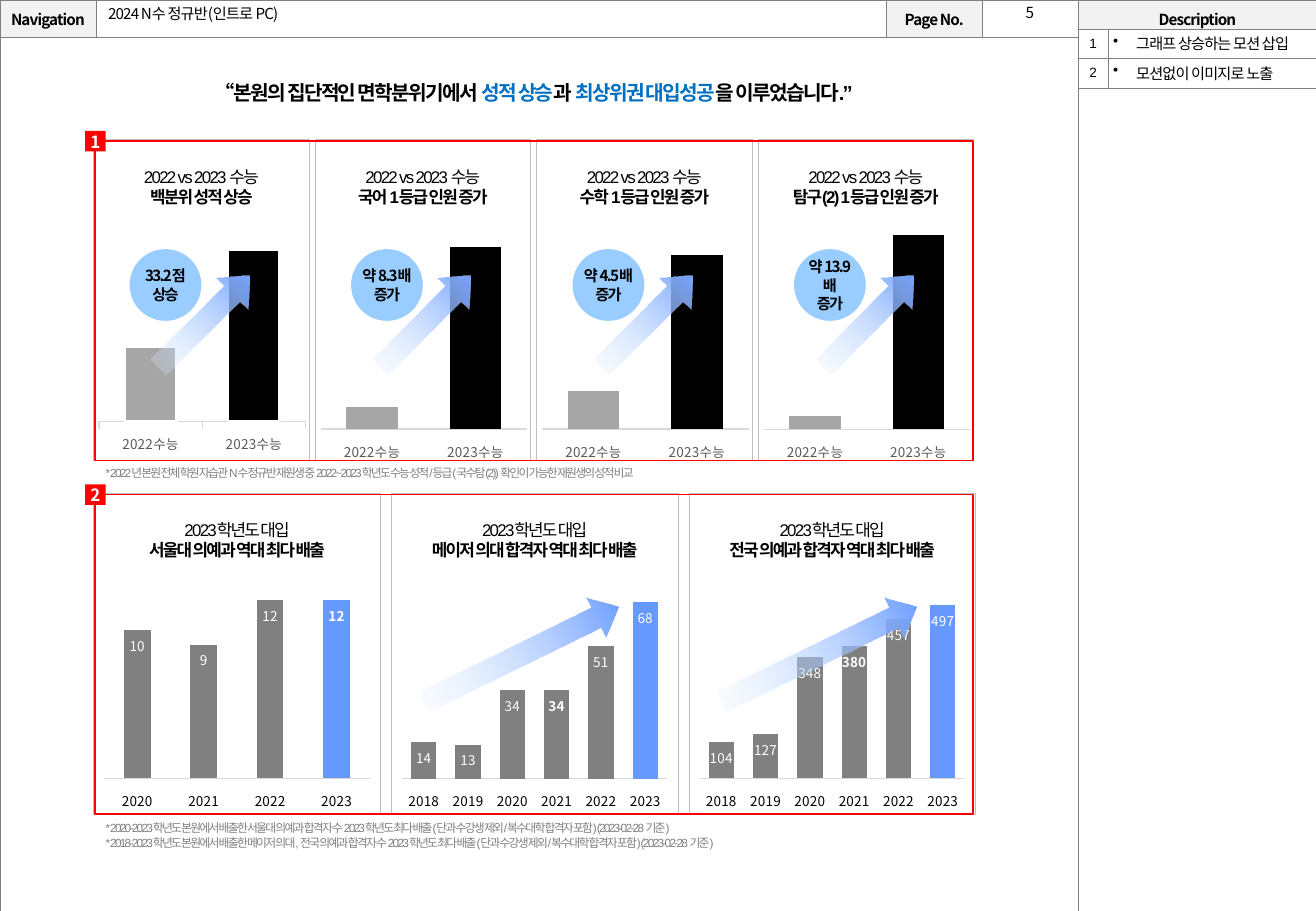
from lxml import etree
from pptx import Presentation
from pptx.chart.data import CategoryChartData
from pptx.dml.color import RGBColor
from pptx.enum.chart import XL_CHART_TYPE, XL_LABEL_POSITION, XL_TICK_LABEL_POSITION, XL_TICK_MARK
from pptx.enum.shapes import MSO_SHAPE
from pptx.enum.text import MSO_ANCHOR, PP_ALIGN
from pptx.oxml import parse_xml
from pptx.oxml.ns import nsdecls, qn
from pptx.util import Cm, Pt

CLUSTERED, STACKED = XL_CHART_TYPE.COLUMN_CLUSTERED, XL_CHART_TYPE.COLUMN_STACKED
RECT, OVAL, ARROW = MSO_SHAPE.RECTANGLE, MSO_SHAPE.OVAL, MSO_SHAPE.RIGHT_ARROW
LEFT, CENTER = PP_ALIGN.LEFT, PP_ALIGN.CENTER
MIDDLE, TOP = MSO_ANCHOR.MIDDLE, MSO_ANCHOR.TOP
INSIDE_END = XL_LABEL_POSITION.INSIDE_END
LABELS_LOW = XL_TICK_LABEL_POSITION.LOW
TICK_OUT, TICK_NONE = XL_TICK_MARK.OUTSIDE, XL_TICK_MARK.NONE

theme = {
    "sans": "Noto Sans CJK KR", "latin": "Arial",
    "black": "000000", "white": "FFFFFF", "red": "FF0000", "accent": "0070C0",
    "header": "F2F2F2", "grid": "808080", "panel": "BFBFBF", "axis": "D9D9D9",
    "axis_text": "595959", "note": "808080", "before": "A6A6A6", "bar": "808080",
    "latest": "6699FF", "circle": "99CCFF", "fade": "EBF7FF",
    "quote": 12, "heading": 10, "body": 9, "small": 8, "footnote": 7,
}


def write(frame, lines, size="body", color="black", name="sans", align=LEFT, anchor=TOP,
          spacing=-50, margins=(0.25, 0.13)):
    across, down = (Cm(value) for value in margins)
    frame_format = {"word_wrap": True, "vertical_anchor": anchor, "margin_left": across,
                    "margin_right": across, "margin_top": down, "margin_bottom": down}
    for key, value in frame_format.items():
        setattr(frame, key, value)
    for index, spans in enumerate(lines):
        para = frame.paragraphs[0] if index == 0 else frame.add_paragraph()
        para.alignment = align
        for text, bold, span_color in spans:
            span = para.add_run()
            span.text = text
            font_format = {"size": Pt(theme[size]), "name": theme[name], "bold": bold}
            for key, value in font_format.items():
                setattr(span.font, key, value)
            span.font.color.rgb = RGBColor.from_string(theme[span_color or color])
            span.font._element.set("spc", str(spacing))


def draw(kind, left, top, width, height, fill=None, line=None, weight=0.25):
    shape = page.shapes.add_shape(kind, Cm(left), Cm(top), Cm(width), Cm(height))
    shape.shadow.inherit = False
    for part, color in ((shape.fill, fill), (shape.line.fill, line)):
        if color:
            part.solid()
            part.fore_color.rgb = RGBColor.from_string(theme[color])
        else:
            part.background()
    if line:
        shape.line.width = Pt(weight)
    return shape


deck = Presentation()
deck.slide_width, deck.slide_height = Cm(27.51), Cm(19.05)
page = deck.slides.add_slide(deck.slide_layouts[6])

tables = [
    (0, 0, [2, 16.53, 2, 2, 5], [0.61, 18.46],
     [["Navigation", "", "Page No.", "", "Description"], [""] * 5]),
    (22.53, 0.61, [0.64, 4.36], [0.61, 0.61],
     [["1", "그래프 상승하는 모션 삽입"], ["2", "모션없이 이미지로 노출"]]),
]
for left, top, widths, heights, rows in tables:
    grid = page.shapes.add_table(len(heights), len(widths), Cm(left), Cm(top),
                                 Cm(sum(widths)), Cm(sum(heights))).table
    for column, width in zip(grid.columns, widths):
        column.width = Cm(width)
    for row, height in zip(grid.rows, heights):
        row.height = Cm(height)
    is_frame = len(widths) == 5
    for cell, text in zip(grid.iter_cells(), sum(rows, [])):
        is_bullet = not is_frame and len(text) > 1
        properties = cell._tc.get_or_add_tcPr()
        for side in ("lnL", "lnR", "lnT", "lnB"):
            properties.append(parse_xml(
                f'<a:{side} {nsdecls("a")} w="3175"><a:solidFill><a:srgbClr val="{theme["grid"]}"/>'
                f'</a:solidFill></a:{side}>'))
        cell.fill.solid()
        cell.fill.fore_color.rgb = RGBColor.from_string(theme["header" if is_frame and text else "white"])
        cell.vertical_anchor = MIDDLE
        cell.margin_left = cell.margin_right = cell.margin_top = cell.margin_bottom = Cm(0 if is_frame else 0.1)
        para = cell.text_frame.paragraphs[0]
        para.alignment = LEFT if is_bullet else CENTER
        if is_bullet:
            para_properties = para._p.get_or_add_pPr()
            para_properties.set("marL", str(Cm(0.48)))
            para_properties.set("indent", str(-Cm(0.48)))
            etree.SubElement(para_properties, qn("a:buChar")).set("char", "•")
        if not is_frame:
            para.line_spacing = 0.9
        if text:
            span = para.add_run()
            span.text = text
            cell_format = {"size": Pt(theme["body" if is_frame or is_bullet else "small"]),
                           "name": theme["sans" if is_frame else "latin"], "bold": is_frame}
            for key, value in cell_format.items():
                setattr(span.font, key, value)
            span.font.color.rgb = RGBColor.from_string(theme["black"])
            span.font._element.set("spc", "-50")
    if is_frame:
        grid.cell(1, 0).merge(grid.cell(1, 3))

exam = ["2022수능", "2023수능"]
years = ["2018", "2019", "2020", "2021", "2022", "2023"]
sections = [
    {"top": 2.92, "width": 4.5, "pitch": 4.63, "lead": "2022 vs 2023 수능", "type": CLUSTERED,
     "chart": (0.02, 1.52, 4.5, 5.21), "arrow": (0.96, 3.33, 2.69, 314.7), "panels": [
         ("백분위 성적 상승", exam, [87, 100], 100, 0.15, 0.69, ("33.2점", "상승")),
         ("국어 1등급 인원 증가", exam, [12, 100], 100, 0.14, 0.73, ("약 8.3배", "증가")),
         ("수학 1등급 인원 증가", exam, [22, 100], 100, 0.17, 0.7, ("약 4.5배", "증가")),
         ("탐구(2) 1등급 인원 증가", exam, [7, 100], 100, 0.09, 0.79, ("약 13.9배", "증가"))]},
    {"top": 10.31, "width": 5.99, "pitch": 6.22, "lead": "2023학년도 대입", "type": STACKED,
     "chart": (0.1, 1.53, 5.79, 5.11), "arrow": (0.46, 2.89, 4.52, 333.9), "panels": [
         ("서울대 의예과 역대 최다 배출", years[2:], [10, 9, 12, 12], 150, 0.14, 0.73, None),
         ("메이저 의대 합격자 역대 최다 배출", years, [14, 13, 34, 34, 51, 68], 75, 0.15, 0.73, None),
         ("전국 의예과 합격자 역대 최다 배출", years, [104, 127, 348, 380, 457, 497], 75, 0.16, 0.71, None)]},
]
for number, section in enumerate(sections, 1):
    top, width = section["top"], section["width"]
    stacked = section["type"] == STACKED
    for index, (title, names, values, gap, plot_top, plot_height, gain) in enumerate(section["panels"]):
        left = 1.96 + index * section["pitch"]
        draw(RECT, left, top, width, 6.71, "white", "panel")
        heading = page.shapes.add_textbox(Cm(left), Cm(top + 0.43), Cm(width), Cm(1.12))
        write(heading.text_frame, [[(section["lead"], False, None)], [(title, True, None)]],
              "heading", name="latin", align=CENTER, spacing=-100)

        data = CategoryChartData()
        data.categories = names
        data.add_series("Series 1", values)
        shift, drop, chart_width, chart_height = section["chart"]
        chart = page.shapes.add_chart(section["type"], Cm(left + shift), Cm(top + drop),
                                      Cm(chart_width), Cm(chart_height), data).chart
        chart.has_legend = chart.has_title = False
        chart.font.size, chart.font.name = Pt(theme["small"]), theme["sans"]
        chart.font.color.rgb = RGBColor.from_string(theme["black" if stacked else "axis_text"])
        first_exam = not stacked and index == 0
        axis_formats = [
            (chart.value_axis, {"visible": False, "has_major_gridlines": False,
                                "minimum_scale": 77 if first_exam else 0, "maximum_scale": max(values)}),
            (chart.category_axis, {"major_tick_mark": TICK_OUT if first_exam else TICK_NONE,
                                   "tick_label_position": LABELS_LOW, "has_major_gridlines": False})]
        for axis, axis_format in axis_formats:
            for key, value in axis_format.items():
                setattr(axis, key, value)
        chart.category_axis.format.line.color.rgb = RGBColor.from_string(theme["axis"])
        chart.category_axis.format.line.width = Pt(0.75)
        plot = chart.plots[0]
        plot.vary_by_categories, plot.gap_width = False, gap
        series = plot.series[0]
        for order in range(len(values)):
            last = order == len(values) - 1
            tone = ("latest" if last else "bar") if stacked else ("black" if last else "before")
            bar = series.points[order].format
            bar.fill.solid()
            bar.fill.fore_color.rgb = RGBColor.from_string(theme[tone])
            if first_exam:
                bar.line.color.rgb = RGBColor.from_string(theme["white"])
                bar.line.width = Pt(1.5)
        if stacked:
            plot.overlap = 100
            labels = series.data_labels
            labels.show_value = True
            strong = series.points[3].data_label
            for label in (labels, strong):
                label.position = INSIDE_END
                label.font.size, label.font.bold = Pt(theme["small"]), label is strong
                label.font.color.rgb = RGBColor.from_string(theme["white"])
        plot_area = chart._chartSpace.chart.plotArea
        for old in plot_area.findall(qn("c:layout")):
            plot_area.remove(old)
        edges = {"x": 0.02, "y": plot_top, "w": 0.96, "h": plot_height}
        places = "".join(f'<c:{key} val="{value}"/>' for key, value in edges.items())
        plot_area.insert(0, parse_xml(
            f'<c:layout {nsdecls("c")}><c:manualLayout><c:layoutTarget val="inner"/><c:xMode val="edge"/>'
            f'<c:yMode val="edge"/>{places}</c:manualLayout></c:layout>'))

        if gain:
            circle = draw(OVAL, left + 0.75, top + 2.29, 1.5, 1.5, "circle")
            write(circle.text_frame, [[(text, True, None)] for text in gain], align=CENTER,
                  anchor=MIDDLE, spacing=-100, margins=(0, 0))
        if gain or index:
            shift, drop, length, angle = section["arrow"]
            arrow = draw(ARROW, left + shift, top + drop, length, 0.94)
            arrow.rotation = angle
            arrow.adjustments[0], arrow.adjustments[1] = 0.5, 0.57
            arrow.fill.gradient()
            arrow.fill.gradient_angle = 0
            for stop, color in zip(arrow.fill.gradient_stops, ("fade", "latest")):
                stop.color.rgb = RGBColor.from_string(theme[color])
            fade = arrow.element.xpath(".//a:gradFill//a:srgbClr")[0]
            etree.SubElement(fade, qn("a:alpha")).set("val", "20000")

    draw(RECT, 1.98, top + 0.03, 18.36, 6.68, line="red", weight=1)
    badge = draw(RECT, 1.78, top - 0.18, 0.43, 0.43, "red")
    write(badge.text_frame, [[(str(number), True, None)]], "heading", "white", align=CENTER,
          anchor=MIDDLE, spacing=0, margins=(0, 0))

quote = [("“본원의 집단적인 면학분위기에서 ", True, None), ("성적 상승", True, "accent"), ("과 ", True, None),
         ("최상위권 대입성공", True, "accent"), ("을 이루었습니다.”", True, None)]
exam_note = "* 2022년 본원 전체 학원 자습관 N수 정규반 재원생 중 2022~2023학년도 수능 성적/등급(국수탐(2)) 확인이 가능한 재원생의 성적 비교"
condition = "합격자 수 2023학년도 최다 배출(단과 수강생 제외/복수대학 합격자 포함) (2023-02-28 기준)"
admission_notes = [f"* 2020-2023학년도 본원에서 배출한 서울대 의예과 {condition}",
                   f"* 2018-2023학년도 본원에서 배출한 메이저 의대, 전국 의예과 {condition}"]
note_style = {"size": "footnote", "color": "note", "name": "latin", "spacing": -100}
texts = [
    ((2.01, 0, 16.56, 0.58), [[("2024 N수 정규반(인트로 PC)", False, None)]],
     {"anchor": MIDDLE, "margins": (0.25, 0)}),
    ((20.55, -0.05, 1.96, 0.64), [[("5", False, None)]], {"align": CENTER}),
    ((1.96, 1.55, 18.4, 0.76), [quote],
     {"size": "quote", "name": "latin", "align": CENTER, "spacing": -100}),
    ((1.96, 9.6, 18.4, 0.56), [[(exam_note, False, None)]], note_style),
    ((1.96, 17.04, 18.4, 0.86), [[(note, False, None)] for note in admission_notes], note_style),
]
for place, lines, style in texts:
    box = page.shapes.add_textbox(*(Cm(value) for value in place))
    write(box.text_frame, lines, **style)

deck.save("out.pptx")
